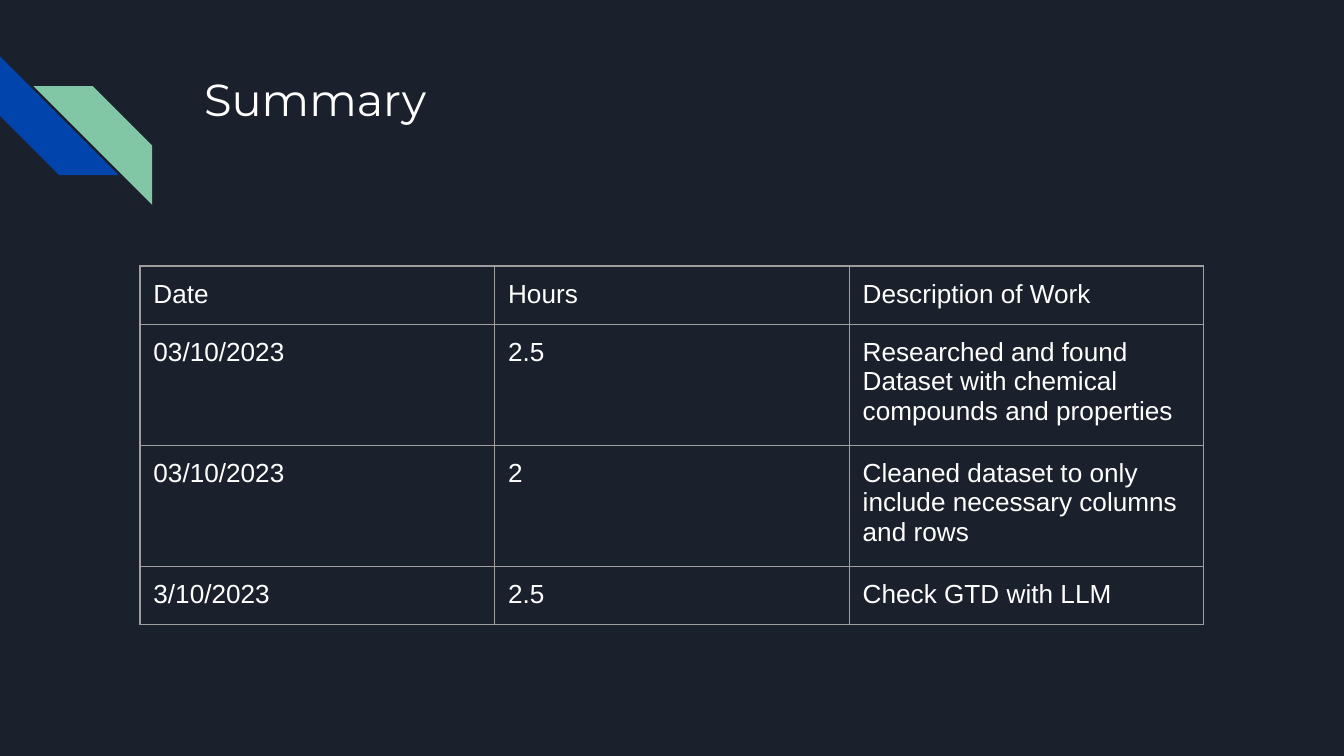
from lxml.etree import SubElement as Sub
from pptx import Presentation
from pptx.dml.color import RGBColor as RGB
from pptx.enum.shapes import MSO_SHAPE as Shape
from pptx.enum.text import MSO_ANCHOR as Anchor
from pptx.oxml.ns import qn
from pptx.util import Pt

HUES = {"back": "1B212C", "blue": "0145AC", "green": "82C7A5",
        "text": "FFFFFF", "rule": "9E9E9E"}
PAD = Pt(7.2)
INSET = {f"margin_{side}": PAD for side in ("left", "right", "top", "bottom")}
ROWS = [
    ("Date", "Hours", "Description of Work"),
    ("03/10/2023", "2.5",
     "Researched and found Dataset with chemical compounds and properties"),
    ("03/10/2023", "2",
     "Cleaned dataset to only include necessary columns and rows"),
    ("3/10/2023", "2.5", "Check GTD with LLM"),
]


def hue(name):
    return RGB.from_string(HUES[name])


def apply(item, form):
    for key, value in form.items():
        setattr(item, key, value)


def write(frame, text, face, size):
    para = frame.paragraphs[0]
    run = para.add_run()
    run.text = text
    apply(run.font, {"name": face, "size": Pt(size)})
    run.font.color.rgb = hue("text")


def add_stripe(slide, left, top, fill, turn=0, flip=False):
    stripe = slide.shapes.add_shape(Shape.DIAGONAL_STRIPE, Pt(left), Pt(top),
                                    Pt(63.6), Pt(63.6))
    stripe.shadow.inherit = False
    stripe.rotation = turn
    stripe.fill.solid()
    stripe.fill.fore_color.rgb = hue(fill)
    stripe.line.fill.background()
    if flip:
        stripe._element.spPr.find(qn("a:xfrm")).set("flipH", "1")


def add_title(slide, text):
    box = slide.shapes.add_textbox(Pt(102.24), Pt(31), Pt(554.4), Pt(72))
    frame = box.text_frame
    apply(frame, {**INSET, "word_wrap": True, "vertical_anchor": Anchor.TOP})
    write(frame, text, "Montserrat", 24)


def add_rules(cell):
    # Borders must come before the fill in the cell properties
    props = cell._tc.get_or_add_tcPr()
    for edge in ("a:lnL", "a:lnR", "a:lnT", "a:lnB"):
        line = Sub(props, qn(edge), w=str(Pt(0.75)))
        fill = Sub(line, qn("a:solidFill"))
        Sub(fill, qn("a:srgbClr"), val=HUES["rule"])


def add_grid(slide, rows):
    wide, high = 190, 30.2
    count = len(rows[0])
    grid = slide.shapes.add_table(len(rows), count, Pt(75), Pt(142.5),
                                  Pt(wide * count), Pt(high * len(rows))).table
    apply(grid, {"first_row": False, "horz_banding": False})
    for col in grid.columns:
        col.width = Pt(wide)
    for row, texts in zip(grid.rows, rows):
        row.height = Pt(high)
        for cell, text in zip(row.cells, texts):
            apply(cell, {**INSET, "vertical_anchor": Anchor.TOP})
            add_rules(cell)
            cell.fill.background()
            write(cell.text_frame, text, "Arial", 14)


def main():
    deck = Presentation()
    apply(deck, {"slide_width": Pt(720), "slide_height": Pt(405)})
    slide = deck.slides.add_slide(deck.slide_layouts[6])
    slide.background.fill.solid()
    slide.background.fill.fore_color.rgb = hue("back")

    # Corner stripes
    add_stripe(slide, 0, 30.2, "blue", turn=270)
    add_stripe(slide, 18, 46.2, "green", flip=True)

    # Title and work log
    add_title(slide, "Summary")
    add_grid(slide, ROWS)
    deck.save("out.pptx")


if __name__ == "__main__":
    main()
